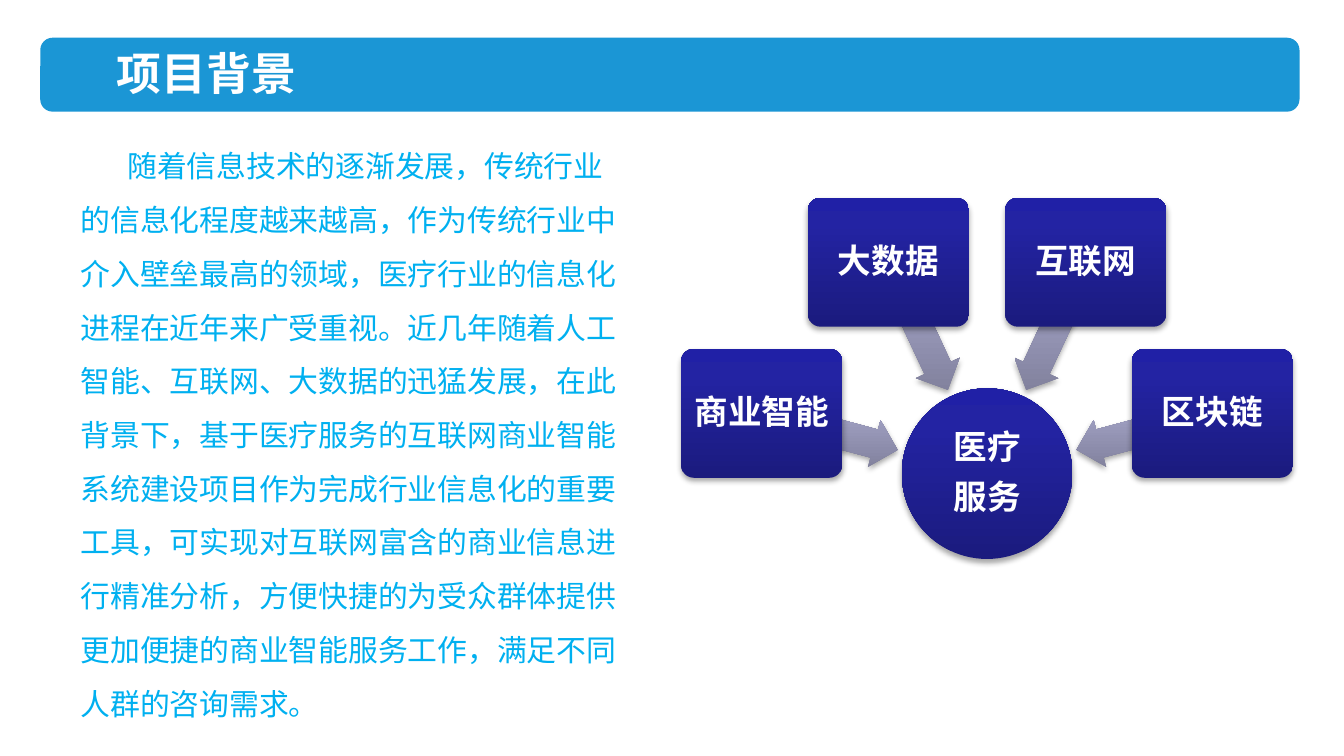
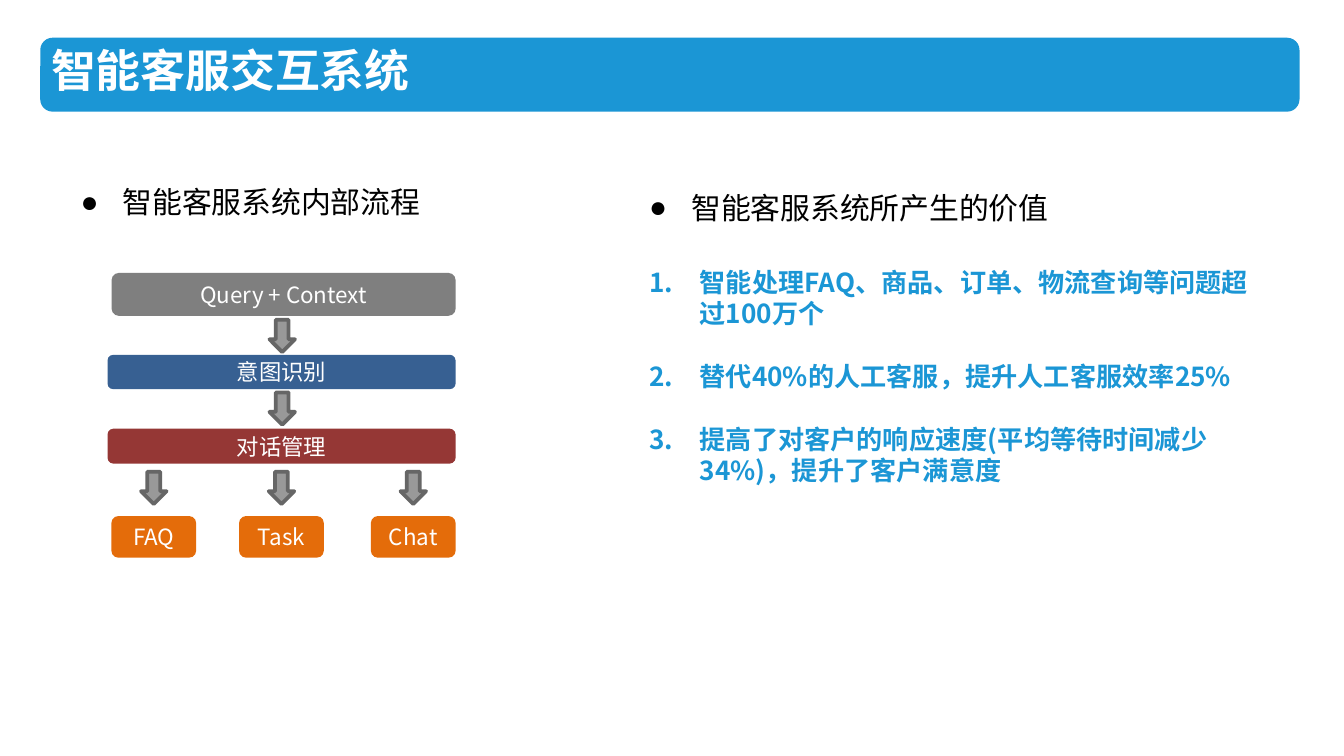
from copy import deepcopy
from math import cos, radians, sin
from typing import NamedTuple, Optional

from lxml.etree import SubElement
from pptx import Presentation
from pptx.dml.color import RGBColor
from pptx.enum.shapes import MSO_SHAPE as Shp
from pptx.enum.text import MSO_ANCHOR as Anchor, MSO_AUTO_SIZE as AutoSize, PP_ALIGN as Align
from pptx.oxml.ns import qn
from pptx.util import Pt

FONT = "Noto Sans CJK SC"
C = {
    "band": "1B96D5", "white": "FFFFFF", "black": "000000", "body": "00B0F0",
    "query": "7F7F7F", "intent": "376092", "dialog": "953735", "channel": "E46C0A",
    "arrow": "999999", "arrow_line": "666666",
}
NAVY = ((0, "1B1B7E"), (0.8, "2323A3"), (1, "2020A6"))
LAVENDER = ((0, "7F7F9A"), (0.8, "A4A4C8"), (1, "A5A5C9"))


class Box(NamedTuple):
    x: float
    y: float
    w: float
    h: float

    def pts(self) -> tuple:
        return tuple(Pt(v) for v in self)


class Style(NamedTuple):
    size: float
    color: str = C["white"]
    bold: bool = False
    align: Align = Align.LEFT
    spacing: float = 1.0
    before: float = 0
    after: float = 0
    bullet: Optional[str] = None
    margin: float = 0
    indent: float = 0


class Step(NamedTuple):
    text: str
    box: Box
    color: str


def centred(cx: float, cy: float, w: float, h: float) -> Box:
    return Box(cx - w / 2, cy - h / 2, w, h)


# Text
def set_bullet(p, st: Style) -> None:
    pPr = p._p.get_or_add_pPr()
    pPr.set("marL", str(Pt(st.margin)))
    pPr.set("indent", str(Pt(st.indent)))
    if st.bullet is None:
        SubElement(pPr, qn("a:buNone"))
    elif st.bullet == "1.":
        SubElement(pPr, qn("a:buFont")).set("typeface", FONT)
        SubElement(pPr, qn("a:buAutoNum")).set("type", "arabicPeriod")
    else:
        SubElement(pPr, qn("a:buChar")).set("char", st.bullet)


def write(tf, text: str, st: Style) -> None:
    tf.text = text
    for i, p in enumerate(tf.paragraphs):
        set_bullet(p, st)
        p.alignment = st.align
        p.line_spacing = st.spacing
        p.space_before = Pt(st.before if i else 0)
        p.space_after = Pt(st.after)
        for r in p.runs:
            r.font.size, r.font.bold, r.font.name = Pt(st.size), st.bold, FONT
            r.font.color.rgb = RGBColor.from_string(st.color)
            SubElement(r.font._element, qn("a:ea")).set("typeface", FONT)


def fill_placeholder(ph, box: Box, text: str, st: Style, wrap: bool = True) -> None:
    ph.left, ph.top, ph.width, ph.height = box.pts()
    tf = ph.text_frame
    tf.word_wrap, tf.auto_size = wrap, AutoSize.NONE
    tf.vertical_anchor = Anchor.TOP
    write(tf, text, st)


# Shapes
def add_shape(s, kind: Shp, box: Box, color: str, line: Optional[str] = None):
    sp = s.shapes.add_shape(kind, *box.pts())
    sp.shadow.inherit = False
    sp.fill.solid()
    sp.fill.fore_color.rgb = RGBColor.from_string(color)
    if line:
        sp.line.color.rgb = RGBColor.from_string(line)
        sp.line.width = Pt(2)
    else:
        sp.line.fill.background()
    return sp


def add_glossy(s, kind: Shp, box: Box, stops: tuple):
    sp = add_shape(s, kind, box, stops[0][1])
    sp.fill.gradient()
    sp.fill.gradient_angle = 90
    spPr = sp.element.spPr
    grad = spPr.find(qn("a:gradFill"))
    grad.set("rotWithShape", "0")
    stop_list = grad.find(qn("a:gsLst"))
    stop_list.append(deepcopy(stop_list[-1]))
    for stop, (position, color) in zip(sp.fill.gradient_stops, stops):
        stop.position = position
        stop.color.rgb = RGBColor.from_string(color)
    # Soft shadow straight below
    shadow = SubElement(spPr.find(qn("a:effectLst")), qn("a:outerShdw"), blurRad=str(Pt(3.1)),
                        dist=str(Pt(1.8)), dir="5400000", rotWithShape="0")
    black = SubElement(shadow, qn("a:srgbClr"), val=C["black"])
    SubElement(black, qn("a:alpha"), val="35000")
    return sp


def label(sp, text: str, st: Style, inset: Optional[float] = None) -> None:
    tf = sp.text_frame
    tf.word_wrap, tf.vertical_anchor = True, Anchor.MIDDLE
    if inset is not None:
        tf.margin_left = tf.margin_right = tf.margin_top = tf.margin_bottom = Pt(inset)
    write(tf, text, st)


# Shared band and title style
BAND = Box(21.6, 20.2, 674.6, 39.6)
TITLE = Style(24, bold=True)


def add_band(prs, s) -> None:
    """Draw the title band and move it to the master, behind everything."""
    band = add_shape(s, Shp.ROUNDED_RECTANGLE, BAND, C["band"])
    prs.slide_master.shapes.element.insert(2, band.element)


# Slide 1: background
BACKGROUND = (
    "随着信息技术的逐渐发展，传统行业的信息化程度越来越高，作为传统行业中介入壁垒最高的领域，"
    "医疗行业的信息化进程在近年来广受重视。近几年随着人工智能、互联网、大数据的迅猛发展，"
    "在此背景下，基于医疗服务的互联网商业智能系统建设项目作为完成行业信息化的重要工具，"
    "可实现对互联网富含的商业信息进行精准分析，方便快捷的为受众群体提供更加便捷的商业智能服务工作，"
    "满足不同人群的咨询需求。"
)
HUB = (528.8, 253.8)
HUB_SIZE, ARROW_RADIUS, TOPIC_RADIUS = 91.4, 87.4, 125
TOPICS = ("商业智能", "大数据", "互联网", "区块链")
TOPIC = Style(18, bold=True, align=Align.CENTER, spacing=0.9, after=7)


def on_circle(radius: float, angle: float, w: float, h: float) -> Box:
    a = radians(angle)
    return centred(HUB[0] + radius * cos(a), HUB[1] + radius * sin(a), w, h)


def build_background(s) -> None:
    fill_placeholder(s.shapes.title, Box(55.4, 20.9, 111.6, 36), "项目背景", TITLE, wrap=False)
    fill_placeholder(s.placeholders[1], Box(36, 66.2, 306.7, 324), BACKGROUND,
                     Style(16, C["body"], spacing=1.5, indent=25))
    hub = add_glossy(s, Shp.OVAL, centred(*HUB, HUB_SIZE, HUB_SIZE), NAVY)
    label(hub, "医疗\n服务", TOPIC, inset=0.7)
    for i, topic in enumerate(TOPICS):
        angle = 195 + 50 * i
        arrow = add_glossy(s, Shp.LEFT_ARROW, on_circle(ARROW_RADIUS, angle, 75.6, 25.9), LAVENDER)
        arrow.rotation = angle
        arrow.adjustments[0], arrow.adjustments[1] = 0.6, 0.5
        card = add_glossy(s, Shp.ROUNDED_RECTANGLE, on_circle(TOPIC_RADIUS, angle, 86.4, 69.1), NAVY)
        card.adjustments[0] = 0.1
        label(card, topic, TOPIC, inset=3)


# Slide 2: customer service system
CHANNELS = (("FAQ", 82.4), ("Task", 150.8), ("Chat", 221.4))
MIDDLE = 151.2
STEPS = [
    Step("Query + Context", Box(59.8, 146.2, 184.3, 23), C["query"]),
    Step("意图识别", Box(57.6, 190.1, 186.5, 18.4), C["intent"]),
    Step("对话管理", Box(57.6, 229.7, 186.5, 18.7), C["dialog"]),
] + [Step(name, centred(cx, 287.6, 45.4, 22.3), C["channel"]) for name, cx in CHANNELS]
ARROWS = [(MIDDLE, 180), (MIDDLE, 218.9)] + [(cx, 261.4) for _, cx in CHANNELS]
VALUES = (
    "智能处理FAQ、商品、订单、物流查询等问题超过100万个",
    "替代40%的人工客服，提升人工客服效率25%",
    "提高了对客户的响应速度(平均等待时间减少34%)，提升了客户满意度",
)


def build_service(s) -> None:
    fill_placeholder(s.shapes.title, Box(20.2, 22.3, 391, 33.1), "智能客服交互系统",
                     TITLE._replace(spacing=0.9))
    heading = Style(16, C["black"], bullet="●", margin=22.5, indent=-22.5)
    left, unused, right, values = (s.placeholders[i] for i in (1, 2, 3, 4))
    unused.element.getparent().remove(unused.element)
    fill_placeholder(left, Box(36, 95, 196.6, 26.6), "智能客服系统内部流程", heading, wrap=False)
    fill_placeholder(right, Box(340.6, 97.9, 229, 26.6), "智能客服系统所产生的价值", heading, wrap=False)
    fill_placeholder(values, Box(340.6, 139, 344.9, 126), "\n".join(VALUES),
                     Style(14, C["band"], bold=True, before=16.8, bullet="1.", margin=27, indent=-27))
    for step in STEPS:
        sp = add_shape(s, Shp.ROUNDED_RECTANGLE, step.box, step.color)
        label(sp, step.text, Style(12, align=Align.CENTER))
    for cx, cy in ARROWS:
        add_shape(s, Shp.DOWN_ARROW, centred(cx, cy, 13.7, 17.3), C["arrow"], C["arrow_line"])


def main() -> None:
    prs = Presentation()
    prs.slide_width, prs.slide_height = Pt(720), Pt(405)
    background = prs.slides.add_slide(prs.slide_layouts.get_by_name("Title and Content"))
    add_band(prs, background)
    build_background(background)
    build_service(prs.slides.add_slide(prs.slide_layouts.get_by_name("Comparison")))
    prs.save("out.pptx")


if __name__ == "__main__":
    main()
